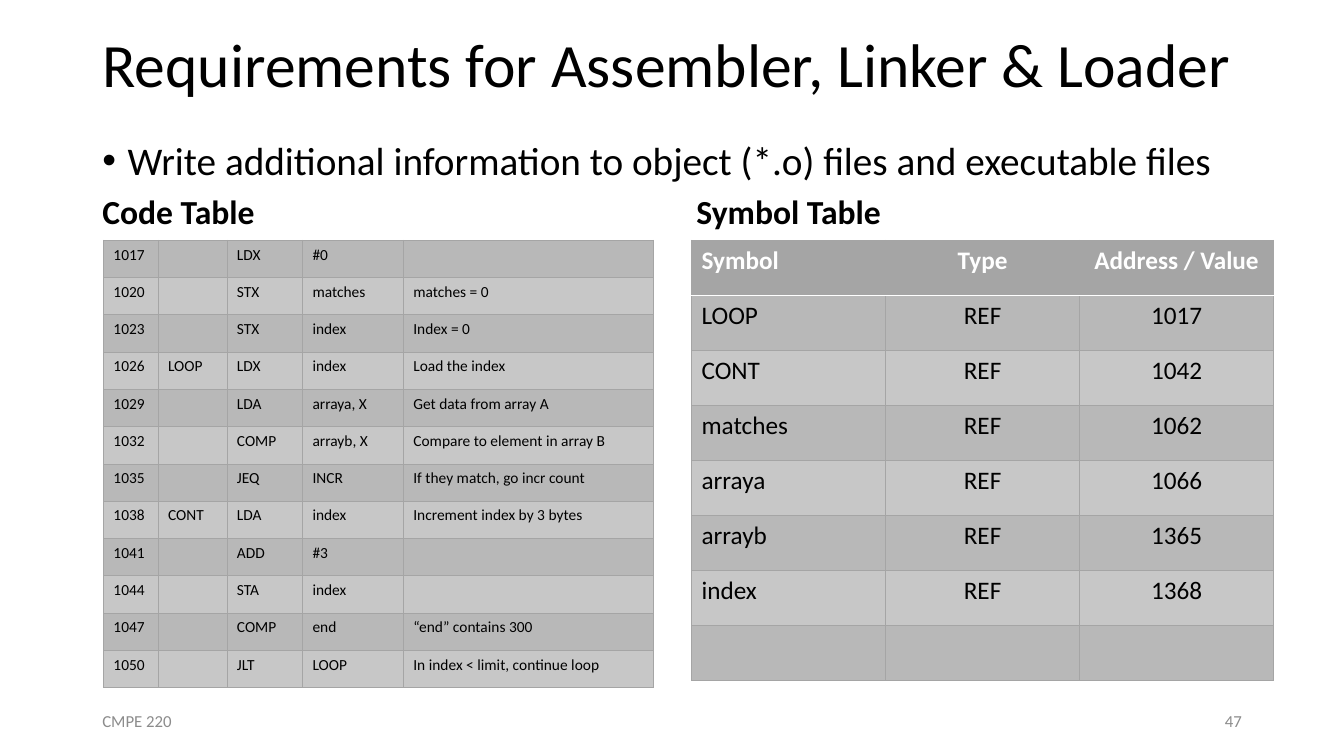
from lxml.etree import SubElement as Sub
from pptx import Presentation
from pptx.dml.color import RGBColor as RGB
from pptx.enum.text import MSO_ANCHOR as Anc, MSO_AUTO_SIZE as Fit, PP_ALIGN as Al
from pptx.oxml.ns import qn
from pptx.util import Inches, Pt

FONT = "Calibri"
BLACK, WHITE, GRAY, MUTED = "000000", "FFFFFF", "A5A5A5", "8C8C8C"
BANDS = "B8B8B8", "C7C7C7"

CODE = [
    ("1017", "", "LDX", "#0", ""),
    ("1020", "", "STX", "matches", "matches = 0"),
    ("1023", "", "STX", "index", "Index = 0"),
    ("1026", "LOOP", "LDX", "index", "Load the index"),
    ("1029", "", "LDA", "arraya, X", "Get data from array A"),
    ("1032", "", "COMP", "arrayb, X", "Compare to element in array B"),
    ("1035", "", "JEQ", "INCR", "If they match, go incr count"),
    ("1038", "CONT", "LDA", "index", "Increment index by 3 bytes"),
    ("1041", "", "ADD", "#3", ""),
    ("1044", "", "STA", "index", ""),
    ("1047", "", "COMP", "end", "“end” contains 300"),
    ("1050", "", "JLT", "LOOP", "In index < limit, continue loop"),
]
REFS = {"LOOP": "1017", "CONT": "1042", "matches": "1062",
        "arraya": "1066", "arrayb": "1365", "index": "1368"}
SYMBOLS = [("Symbol", "Type", "Address / Value"),
           *((name, "REF", spot) for name, spot in REFS.items()),
           ("", "", "")]


def color(code):
    return RGB.from_string(code)


def apply(obj, form):
    for key, value in form.items():
        setattr(obj, key, value)


class Page:
    """One slide on a grid of 160 columns by 90 rows."""

    def __init__(self, deck):
        deck.slide_width, deck.slide_height = Inches(13.33), Inches(7.5)
        self.unit = deck.slide_height / 90
        self.slide = deck.slides.add_slide(deck.slide_layouts[1])

    def grid(self, *cells):
        return [round(cell * self.unit) for cell in cells]

    def put(self, para, text, size, tone=BLACK, bold=False, **form):
        if text:
            run = para.add_run()
            run.text = text
            apply(run.font, dict(name=FONT, size=Pt(size), bold=bold))
            run.font.color.rgb = color(tone)
        else:
            Sub(para._p, qn("a:endParaRPr"), sz=str(size * 100))
        apply(para, form)

    def holder(self, index, box, text, size, anchor, **form):
        shape = self.slide.placeholders[index]
        apply(shape, dict(zip(("left", "top", "width", "height"), self.grid(*box))))
        frame = shape.text_frame
        apply(frame, dict(auto_size=Fit.NONE, word_wrap=True, vertical_anchor=anchor))
        para = frame.paragraphs[0]
        self.put(para, text, size, alignment=Al.LEFT, line_spacing=0.9, **form)
        return para

    def title(self, box, text):
        self.holder(0, box, text, 44, Anc.MIDDLE)

    def bullet(self, box, text):
        para = self.holder(1, box, text, 28, Anc.TOP, space_before=Pt(10))
        props = para._p.get_or_add_pPr()
        inset = Inches(0.25)
        props.set("marL", str(inset))
        props.set("indent", str(-inset))
        Sub(props, qn("a:buFont"), typeface="Arial")
        Sub(props, qn("a:buChar"), char="•")

    def label(self, box, text, size, wrap=True, anchor=Anc.TOP, **form):
        frame = self.slide.shapes.add_textbox(*self.grid(*box)).text_frame
        apply(frame, dict(word_wrap=wrap, vertical_anchor=anchor))
        self.put(frame.paragraphs[0], text, size, **form)

    def edge(self, cell, side, tone, width):
        line = Sub(cell._tc.get_or_add_tcPr(), qn("a:ln" + side), w=str(Pt(width)))
        Sub(Sub(line, qn("a:solidFill")), qn("a:srgbClr"), val=tone)

    def table(self, left, top, widths, step, rows, size, head=False, aligns=None):
        box = self.grid(left, top, sum(widths), step * len(rows))
        table = self.slide.shapes.add_table(len(rows), len(widths), *box).table
        apply(table, dict(first_row=False, horz_banding=False))
        for col, width in zip(table.columns, self.grid(*widths)):
            col.width = width
        for r, row in enumerate(rows):
            table.rows[r].height = self.grid(step)[0]
            top_row = head and r == 0
            band = GRAY if top_row else BANDS[(r - head) % 2]
            for c, text in enumerate(row):
                cell = table.cell(r, c)
                # Borders go ahead of the fill
                for side in "LRTB":
                    rule = head and (r, side) in ((0, "B"), (1, "T"))
                    self.edge(cell, side, WHITE if rule else GRAY, 1 if rule else 0.5)
                cell.fill.solid()
                cell.fill.fore_color.rgb = color(band)
                self.put(cell.text_frame.paragraphs[0], text, size,
                         WHITE if top_row else BLACK, top_row,
                         alignment=aligns[c] if aligns else Al.LEFT)


def main():
    deck = Presentation()
    page = Page(deck)

    # Title and lead point
    page.title((11, 0, 138, 16.2), "Requirements for Assembler, Linker & Loader")
    page.bullet((11, 16.2, 138, 8.3),
                "Write additional information to object (*.o) files and executable files")

    # Footer and slide number
    for left, text, side in (11, "CMPE 220", Al.LEFT), (113, "47", Al.RIGHT):
        page.label((left, 83.4, 36, 4.8), text, 12, anchor=Anc.MIDDLE,
                   tone=MUTED, alignment=side)

    # Table headings
    for left, width, text in (11, 20.8, "Code Table"), (81.7, 24.6, "Symbol Table"):
        page.label((left, 22.1, width, 6), text, 24, wrap=False, bold=True)

    # Code and symbol tables
    page.table(12.3, 28.6, (6.5, 8.2, 9, 12, 29.8), 4.44, CODE, 11)
    page.table(82.3, 28.6, (23.1,) * 3, 6.55, SYMBOLS, 18, head=True,
               aligns=(Al.LEFT, Al.CENTER, Al.CENTER))

    deck.save("out.pptx")


if __name__ == "__main__":
    main()
